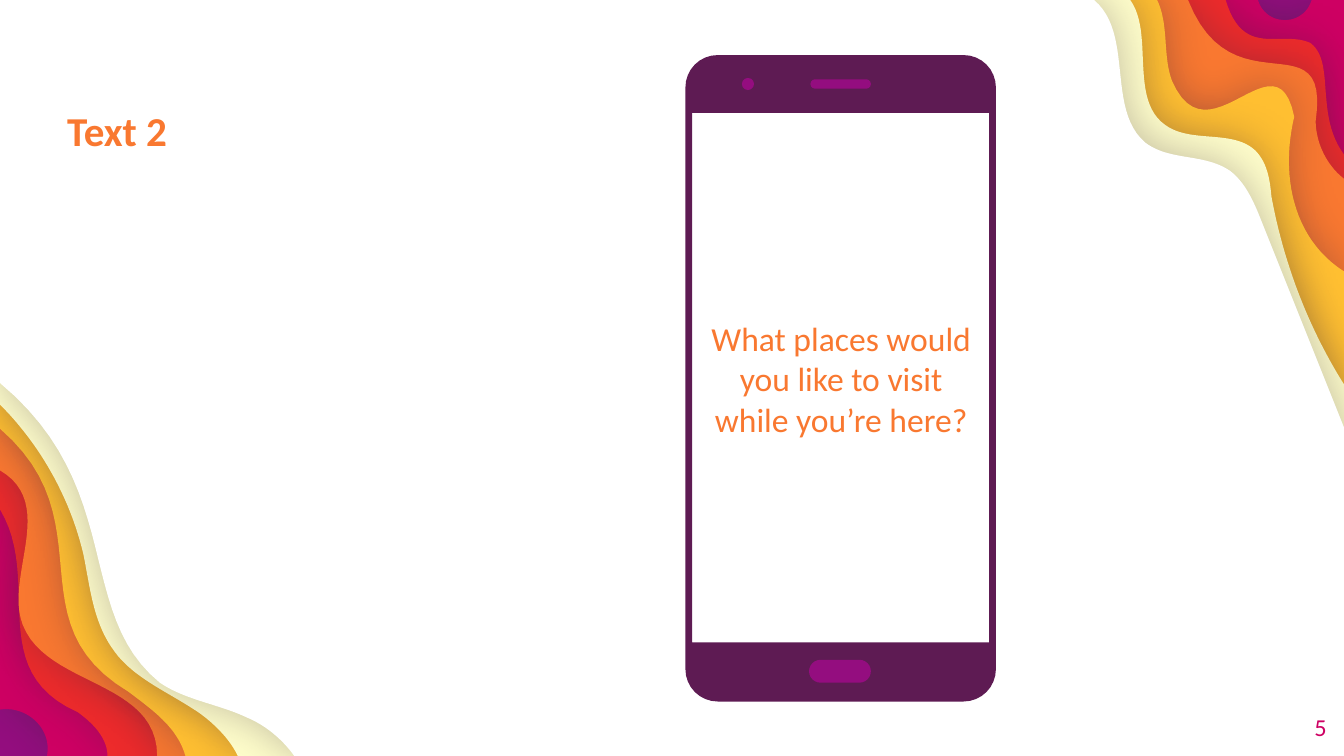
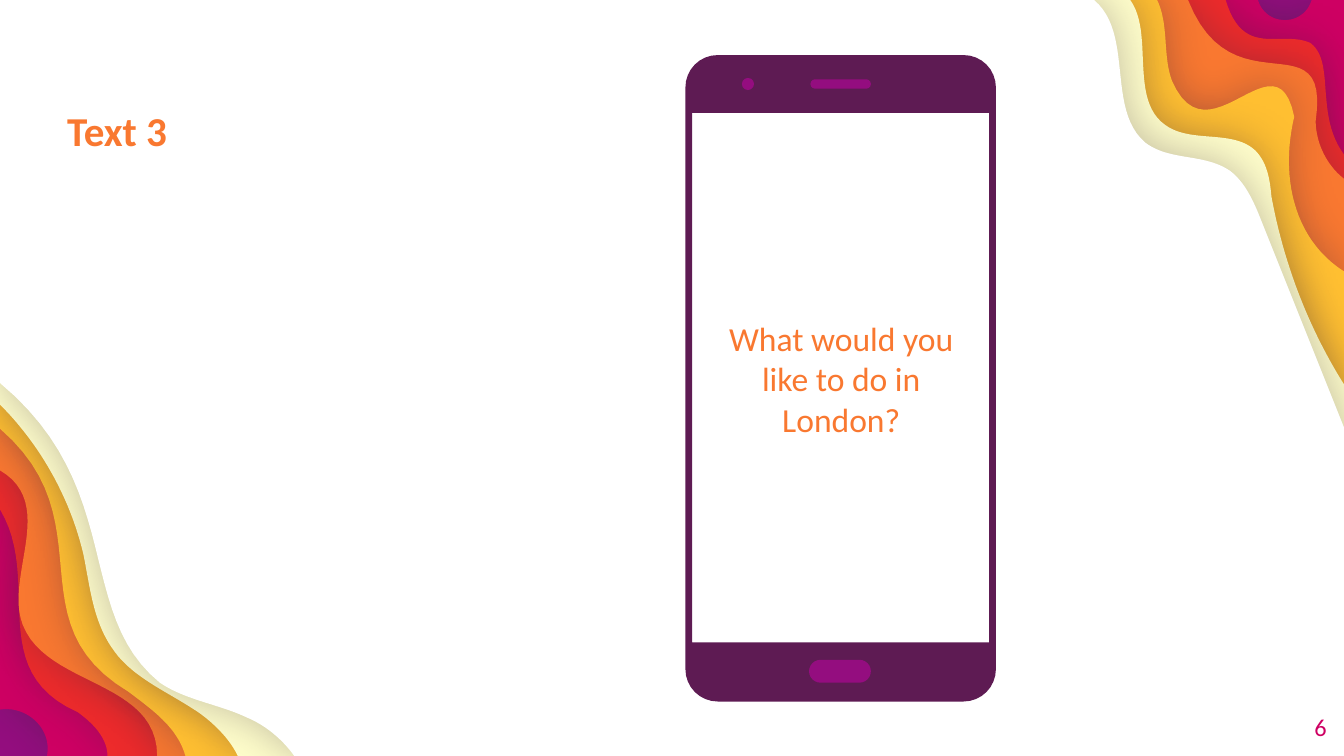
import math

import pptx
import pptx.dml.color
import pptx.enum.shapes
import pptx.enum.text
import pptx.oxml
import pptx.oxml.ns
import pptx.util

Inches = pptx.util.Inches
Pt = pptx.util.Pt
MSO_SHAPE = pptx.enum.shapes.MSO_SHAPE
ALIGN = pptx.enum.text.PP_ALIGN
ANCHOR = pptx.enum.text.MSO_ANCHOR

WIDTH = 10
HEIGHT = WIDTH * 9 / 16
FONT = "Calibri"
COLORS = {
    "purple": "940D7F",
    "plum": "5E1B53",
    "magenta": "CE0063",
    "red": "ED2B2B",
    "orange": "F97830",
    "yellow": "FFBF31",
    "cream": "FEFDCA",
    "white": "FFFFFF",
    "shadow": "39273F",
}

# Each layer: colour, edge from the right side to the top, edge from the left side
# to the bottom. Two numbers are a corner, six are a Bézier segment.
LAYERS = [
    ("magenta",
     [(10, 0), (9.76, 0), (9.7, 0.2, 9.42, 0.2, 9.36, 0)],
     [(0, 5.28), (0.2, 5.25, 0.39, 5.42, 0.35, HEIGHT)]),
    ("red",
     [(10, 1.15), (9.78, 0.85, 9.94, 0.46, 9.75, 0.32),
      (9.53, 0.22, 9.25, 0.44, 9.12, 0)],
     [(0, 3.79), (0.32, 4.32, -0.12, 4.99, 0.58, 5.3),
      (0.69, 5.38, 0.8, 5.49, 0.8, HEIGHT)]),
    ("orange",
     [(10, 1.33), (9.87, 1.23, 9.79, 1.06, 9.79, 0.9),
      (9.9, 0.12, 9.17, 0.84, 8.84, 0)],
     [(0, 3.5), (0.43, 3.75, 0.03, 4.29, 0.17, 4.65),
      (0.35, 5.11, 1.17, 5.06, 1.17, HEIGHT)]),
    ("yellow",
     [(10, 2.02), (9.61, 1.77, 9.53, 1.29, 9.63, 0.87),
      (9.5, 0.22, 8.99, 1.23, 8.72, 0.6), (8.65, 0.41, 8.7, 0.19, 8.61, 0)],
     [(0, 3.19), (0.8, 3.88, 0.09, 4.63, 0.96, 5.15),
      (1.13, 5.28, 1.32, 5.41, 1.38, HEIGHT)]),
    ("cream",
     [(10, 2.86), (9.73, 2.43, 9.55, 1.95, 9.46, 1.46),
      (9.45, 1.34, 9.43, 1.21, 9.34, 1.12),
      (9.17, 0.96, 8.86, 1.07, 8.67, 0.93), (8.4, 0.74, 8.59, 0.25, 8.41, 0)],
     [(0, 3.01), (0.3, 3.31, 0.52, 3.7, 0.62, 4.12),
      (0.67, 4.36, 0.69, 4.62, 0.84, 4.83), (0.99, 5.05, 1.26, 5.15, 1.49, 5.31),
      (1.6, 5.39, 1.71, 5.5, 1.77, HEIGHT)]),
    ("white",
     [(10, 3.18), (9.38, 1.63), (9.33, 1.5, 9.26, 1.35, 9.15, 1.27),
      (8.96, 1.14, 8.7, 1.2, 8.52, 1.06), (8.23, 0.81, 8.44, 0.25, 8.14, 0)],
     [(0, 2.85), (0.94, 3.63, 0.55, 4.56, 1.19, 5.08),
      (1.38, 5.21, 1.63, 5.24, 1.84, 5.34), (1.98, 5.4, 2.1, 5.5, 2.19, HEIGHT)]),
]

MESSAGES = [
    ("Text 2", "What places would you like to visit while you’re here?", 5),
    ("Text 3", "What would you like to do in London?", 6),
]


def rgb(name):
    return pptx.dml.color.RGBColor.from_string(COLORS[name])


def style(sp, color):
    sp.shadow.inherit = False
    sp.fill.solid()
    sp.fill.fore_color.rgb = rgb(color)
    sp.line.fill.background()


def add_glow(sp):
    """Give a shape the soft shadow of a paper layer."""
    effects = sp._element.spPr.find(pptx.oxml.ns.qn("a:effectLst"))
    effects.append(pptx.oxml.parse_xml(
        f'<a:outerShdw {pptx.oxml.ns.nsdecls("a")} blurRad="{Pt(22.5)}" '
        f'dist="{Pt(0.8)}" dir="0" algn="ctr" rotWithShape="0">'
        f'<a:srgbClr val="{COLORS["shadow"]}"><a:alpha val="30000"/></a:srgbClr>'
        '</a:outerShdw>'))


def trace(segments, steps=24):
    """Turn corners and Bézier segments into a list of points."""
    points = []
    for segment in segments:
        if len(segment) == 2:
            points.append(segment)
            continue
        x0, y0 = points[-1]
        x1, y1, x2, y2, x3, y3 = segment
        for i in range(1, steps + 1):
            t = i / steps
            a, b, c, d = (1 - t) ** 3, 3 * t * (1 - t) ** 2, 3 * t * t * (1 - t), t ** 3
            points.append((a * x0 + b * x1 + c * x2 + d * x3,
                           a * y0 + b * y1 + c * y2 + d * y3))
    return points


def rounded_outline(left, top, right, bottom, radius, steps=8):
    points = []
    corners = [(right - radius, bottom - radius), (left + radius, bottom - radius),
               (left + radius, top + radius), (right - radius, top + radius)]
    for quarter, (cx, cy) in enumerate(corners):
        for i in range(steps + 1):
            angle = (quarter + i / steps) * math.pi / 2
            points.append((cx + radius * math.cos(angle), cy + radius * math.sin(angle)))
    return points


def add_outline(shapes, contours, color):
    """Draw one freeform from closed contours given in inches."""
    scaled = [[(Inches(x), Inches(y)) for x, y in contour] for contour in contours]
    builder = shapes.build_freeform(*scaled[0][0])
    for i, contour in enumerate(scaled):
        if i:
            builder.move_to(*contour[0])
        builder.add_line_segments(contour[1:], close=True)
    sp = builder.convert_to_shape()
    style(sp, color)
    return sp


def add_preset(shapes, kind, box, color):
    sp = shapes.add_shape(kind, *map(Inches, box))
    style(sp, color)
    return sp


def add_text(s, box, text, size, color, bold=False, align=ALIGN.LEFT,
             anchor=ANCHOR.TOP, inset=0, spacing=None):
    tf = s.shapes.add_textbox(*map(Inches, box)).text_frame
    tf.word_wrap = True
    tf.vertical_anchor = anchor
    tf.margin_left = tf.margin_right = tf.margin_top = tf.margin_bottom = Inches(inset)
    p = tf.paragraphs[0]
    p.alignment = align
    if spacing:
        p.line_spacing = spacing
    r = p.add_run()
    r.text = text
    r.font.name = FONT
    r.font.size = Pt(size)
    r.font.bold = bold
    r.font.color.rgb = rgb(color)


def add_paper_layers(s):
    s.background.fill.solid()
    s.background.fill.fore_color.rgb = rgb("purple")
    shapes = s.shapes.add_group_shape().shapes
    for color, right_edge, left_edge in LAYERS:
        outline = trace(right_edge) + [(0, 0)] + trace(left_edge) + [(WIDTH, HEIGHT)]
        add_glow(add_outline(shapes, [outline], color))


def add_phone(s):
    shapes = s.shapes.add_group_shape().shapes
    screen = [(7.36, 0.84), (5.15, 0.84), (5.15, 4.78), (7.36, 4.78)]
    body = rounded_outline(5.1, 0.41, 7.41, 5.22, 0.24)
    add_outline(shapes, [screen, body], "plum")
    home = add_preset(shapes, MSO_SHAPE.ROUNDED_RECTANGLE, (6.02, 4.91, 0.46, 0.17), "purple")
    add_preset(shapes, MSO_SHAPE.OVAL, (5.52, 0.58, 0.09, 0.09), "purple")
    speaker = add_preset(shapes, MSO_SHAPE.ROUNDED_RECTANGLE, (6.03, 0.59, 0.45, 0.07), "purple")
    for pill in (home, speaker):
        pill.adjustments[0] = 0.5


def add_message_slide(prs, title, question, number):
    s = prs.slides.add_slide(prs.slide_layouts[6])
    add_paper_layers(s)
    add_text(s, (0.5, 0.73, 3.77, 2.4), title, 22, "orange", bold=True, spacing=1.15)
    add_text(s, (5.16, 0.86, 2.2, 3.91), question, 18, "orange",
             align=ALIGN.CENTER, anchor=ANCHOR.MIDDLE, inset=0.1)
    add_text(s, (9.27, 5.19, 0.6, 0.43), str(number), 13, "magenta",
             align=ALIGN.RIGHT, anchor=ANCHOR.MIDDLE)
    add_phone(s)


def main():
    prs = pptx.Presentation()
    prs.slide_width = Inches(WIDTH)
    prs.slide_height = Inches(HEIGHT)
    for message in MESSAGES:
        add_message_slide(prs, *message)
    prs.save("out.pptx")


if __name__ == "__main__":
    main()
